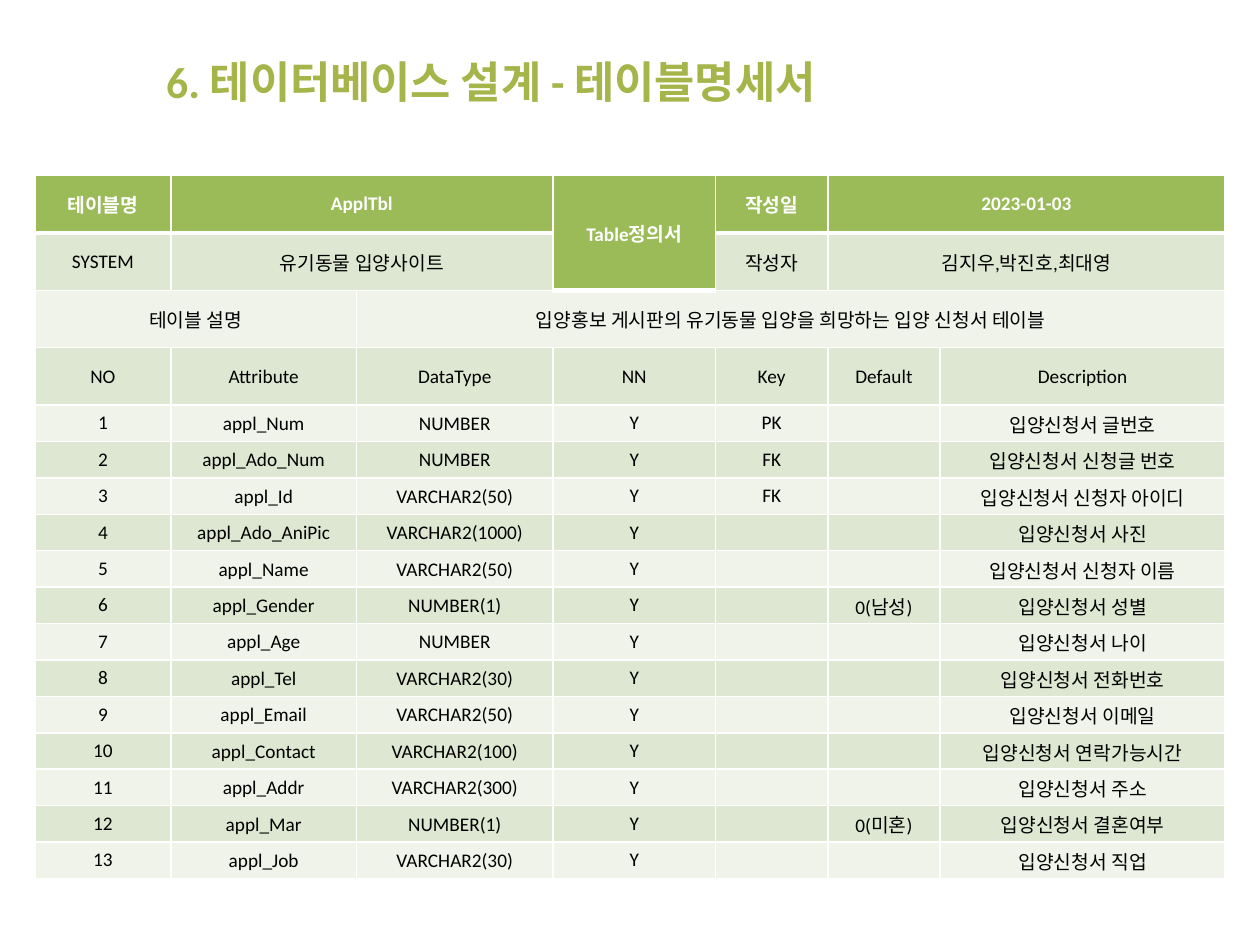
from lxml.etree import SubElement as Sub
from pptx import Presentation
from pptx.dml.color import RGBColor
from pptx.enum.text import MSO_ANCHOR as Anchor, PP_ALIGN as Align
from pptx.oxml.ns import qn
from pptx.util import Pt

WHITE = RGBColor(0xFF, 0xFF, 0xFF)
BLACK = RGBColor(0x00, 0x00, 0x00)
OLIVE = RGBColor(0xA5, 0xB5, 0x4A)
GREEN = RGBColor(0x9B, 0xBB, 0x59)
DARK = RGBColor(0xDE, 0xE7, 0xD1)
LIGHT = RGBColor(0xEF, 0xF3, 0xEA)

FACE = "Calibri"
SIZE = 11
COLS = [77.6, 106.2, 112.2, 92.9, 64.2, 64.2, 162.9]
TIGHT = {1, 2, 5, 6}

HEAD = [
    ["테이블명", "ApplTbl", "", "Table정의서", "작성일", "2023-01-03", ""],
    ["SYSTEM", "유기동물 입양사이트", "", "", "작성자", "김지우,박진호,최대영", ""],
    ["테이블 설명", "", "입양홍보 게시판의 유기동물 입양을 희망하는 입양 신청서 테이블", "", "", "", ""],
    ["NO", "Attribute", "DataType", "NN", "Key", "Default", "Description"],
]
SPANS = [
    (0, 1, 0, 2), (0, 3, 1, 3), (0, 5, 0, 6), (1, 1, 1, 2),
    (1, 5, 1, 6), (2, 0, 2, 1), (2, 2, 2, 6),
]
FIELDS = [
    ("Num", "NUMBER", "PK", "", "글번호"),
    ("Ado_Num", "NUMBER", "FK", "", "신청글 번호"),
    ("Id", "VARCHAR2(50)", "FK", "", "신청자 아이디"),
    ("Ado_AniPic", "VARCHAR2(1000)", "", "", "사진"),
    ("Name", "VARCHAR2(50)", "", "", "신청자 이름"),
    ("Gender", "NUMBER(1)", "", "0(남성)", "성별"),
    ("Age", "NUMBER", "", "", "나이"),
    ("Tel", "VARCHAR2(30)", "", "", "전화번호"),
    ("Email", "VARCHAR2(50)", "", "", "이메일"),
    ("Contact", "VARCHAR2(100)", "", "", "연락가능시간"),
    ("Addr", "VARCHAR2(300)", "", "", "주소"),
    ("Mar", "NUMBER(1)", "", "0(미혼)", "결혼여부"),
    ("Job", "VARCHAR2(30)", "", "", "직업"),
]


def set_font(para, size, color, bold):
    font = para.font
    font.name = FACE
    font.size = Pt(size)
    font.bold = bold
    font.color.rgb = color


def add_title(slide, text):
    title = slide.shapes.title
    title.left, title.top = Pt(87.8), Pt(18)
    title.width, title.height = Pt(596.2), Pt(56.9)
    frame = title.text_frame
    frame.text = text
    frame.vertical_anchor = Anchor.MIDDLE
    para = frame.paragraphs[0]
    para.alignment = Align.LEFT
    set_font(para, 25, OLIVE, True)


def set_edges(cell, base):
    props = cell._tc.get_or_add_tcPr()
    for side, width in zip("LRTB", (1, 1, 1, base)):
        line = Sub(props, qn(f"a:ln{side}"), w=str(Pt(width)))
        fill = Sub(line, qn("a:solidFill"))
        Sub(fill, qn("a:srgbClr"), val=str(WHITE))


def fill_cell(cell, text, color, head, tight):
    set_edges(cell, 3 if head else 1)
    cell.fill.solid()
    cell.fill.fore_color.rgb = color
    cell.vertical_anchor = Anchor.MIDDLE
    if tight:
        cell.margin_left = cell.margin_right = cell.margin_top = Pt(0.72)
        cell.margin_bottom = Pt(0)
    para = cell.text_frame.paragraphs[0]
    para.alignment = Align.CENTER
    if text:
        para.text = text
        set_font(para, SIZE, WHITE if head else BLACK, head)
    else:
        Sub(para._p, qn("a:endParaRPr"), sz=str(SIZE * 100))


def add_grid(slide):
    rows = HEAD + [
        [str(num), f"appl_{name}", kind, "Y", key, default, f"입양신청서 {note}"]
        for num, (name, kind, key, default, note) in enumerate(FIELDS, 1)
    ]
    highs = [32.8] * len(HEAD) + [20.4] * len(FIELDS)
    table = slide.shapes.add_table(
        len(rows), len(COLS), Pt(20), Pt(100.3), Pt(sum(COLS)), Pt(sum(highs))
    ).table
    table.first_row = table.horz_banding = False
    for col, width in zip(table.columns, COLS):
        col.width = Pt(width)
    for row, high in zip(table.rows, highs):
        row.height = Pt(high)
    for r, texts in enumerate(rows):
        for c, text in enumerate(texts):
            head = r == 0 or (r, c) == (1, 3)
            color = GREEN if head else DARK if r % 2 else LIGHT
            tight = r >= len(HEAD) and c in TIGHT
            fill_cell(table.cell(r, c), text, color, head, tight)
    for top, left, low, right in SPANS:
        table.cell(top, left).merge(table.cell(low, right))


def main():
    deck = Presentation()
    deck.slide_width, deck.slide_height = Pt(720), Pt(540)
    slide = deck.slides.add_slide(deck.slide_layouts[5])
    add_title(slide, "6. 테이터베이스 설계 - 테이블명세서")
    add_grid(slide)
    deck.save("out.pptx")


if __name__ == "__main__":
    main()
